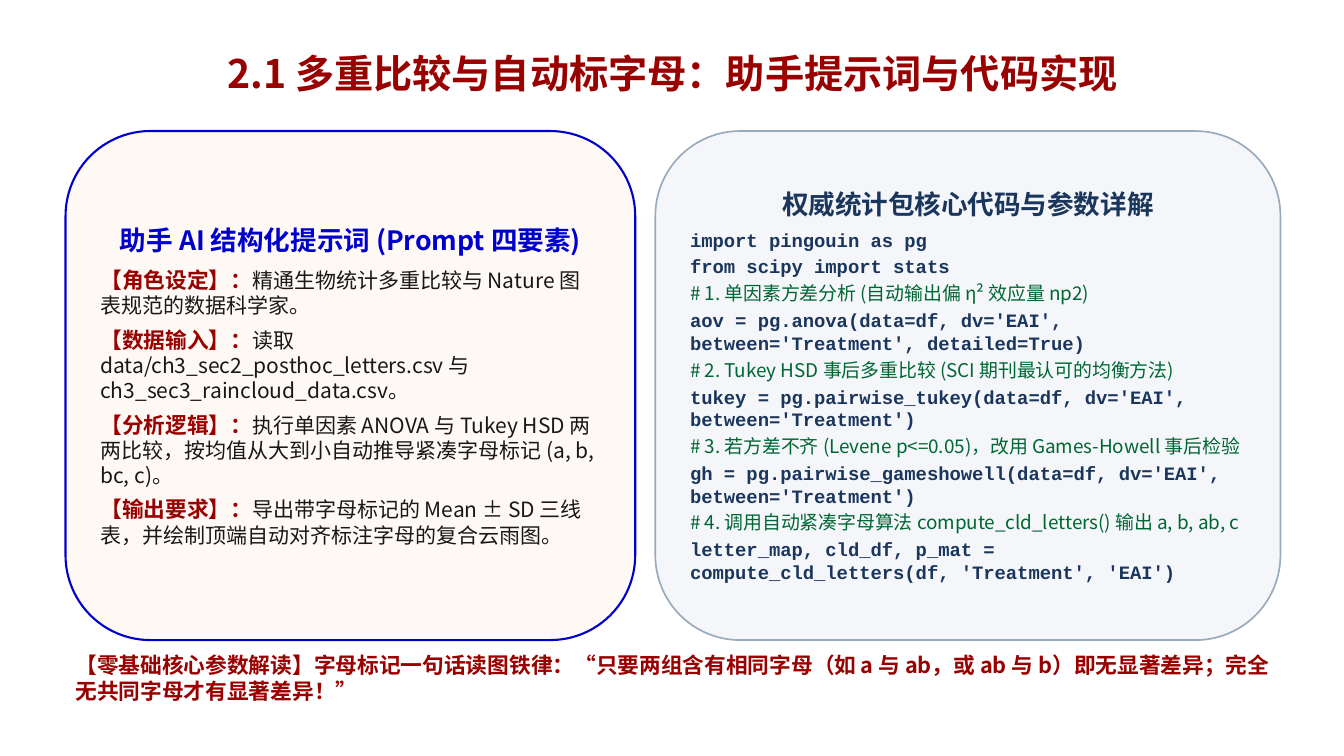
from dataclasses import dataclass

from lxml.etree import SubElement
from pptx import Presentation
from pptx.dml.color import RGBColor
from pptx.enum.shapes import MSO_SHAPE
from pptx.enum.text import MSO_ANCHOR, MSO_AUTO_SIZE, PP_ALIGN
from pptx.oxml.ns import qn
from pptx.shapes.autoshape import Shape
from pptx.slide import Slide
from pptx.text.text import TextFrame, _Paragraph
from pptx.util import Inches, Pt

CELL = 0.05
SANS = "Noto Sans CJK SC"
MONO = "Courier New"
COLORS = {
    "red": "990000",
    "blue": "0000CC",
    "navy": "1B365D",
    "green": "006633",
    "ink": "181818",
    "cream": "FFF9F5",
    "mist": "F4F6F9",
    "steel": "99AABB",
}


@dataclass(frozen=True)
class Box:
    col: float
    row: float
    cols: float
    rows: float

    def place(self) -> list[int]:
        return [Inches(n * CELL) for n in (self.col, self.row, self.cols, self.rows)]


@dataclass(frozen=True)
class Panel:
    box: Box
    fill: str
    edge: str
    width: float
    head: str
    tint: str
    gap: float


@dataclass(frozen=True)
class Prompt:
    label: str
    body: str


TITLE = Box(18.4, 6.6, 230, 16.8)
NOTE = Box(13, 128.4, 241, 13)
LEFT = Panel(Box(13, 26, 113, 101), "cream", "blue", 1.5,
             "助手 AI 结构化提示词 (Prompt 四要素)", "blue", 8)
RIGHT = Panel(Box(130, 26, 124, 101), "mist", "steel", 1.2,
              "权威统计包核心代码与参数详解", "navy", 6)

PROMPTS = [
    Prompt("角色设定", "精通生物统计多重比较与 Nature 图表规范的数据科学家。"),
    Prompt("数据输入", "读取 data/ch3_sec2_posthoc_letters.csv 与 ch3_sec3_raincloud_data.csv。"),
    Prompt("分析逻辑", "执行单因素 ANOVA 与 Tukey HSD 两两比较，按均值从大到小自动推导紧凑字母标记 (a, b, bc, c)。"),
    Prompt("输出要求", "导出带字母标记的 Mean ± SD 三线表，并绘制顶端自动对齐标注字母的复合云雨图。"),
]

CODE = """import pingouin as pg
from scipy import stats
# 1. 单因素方差分析 (自动输出偏 η² 效应量 np2)
aov = pg.anova(data=df, dv='EAI', between='Treatment', detailed=True)
# 2. Tukey HSD 事后多重比较 (SCI 期刊最认可的均衡方法)
tukey = pg.pairwise_tukey(data=df, dv='EAI', between='Treatment')
# 3. 若方差不齐 (Levene p<=0.05)，改用 Games-Howell 事后检验
gh = pg.pairwise_gameshowell(data=df, dv='EAI', between='Treatment')
# 4. 调用自动紧凑字母算法 compute_cld_letters() 输出 a, b, ab, c
letter_map, cld_df, p_mat = compute_cld_letters(df, 'Treatment', 'EAI')"""


def paint(name: str) -> RGBColor:
    return RGBColor.from_string(COLORS[name])


def write(para: _Paragraph, text: str, *, size: float, color: str,
          bold: bool = True, face: str = SANS) -> None:
    run = para.add_run()
    run.text = text
    font = run.font
    font.size, font.bold, font.name = Pt(size), bold, face
    font.color.rgb = paint(color)
    SubElement(run._r.get_or_add_rPr(), qn("a:ea")).set("typeface", face)


def add_line(frame: TextFrame, gap: float) -> _Paragraph:
    para = frame.add_paragraph()
    para.alignment = PP_ALIGN.LEFT
    para.space_after = Pt(gap)
    return para


def add_text(slide: Slide, box: Box) -> TextFrame:
    frame = slide.shapes.add_textbox(*box.place()).text_frame
    frame.word_wrap = True
    return frame


def add_panel(slide: Slide, panel: Panel) -> TextFrame:
    shape: Shape = slide.shapes.add_shape(MSO_SHAPE.ROUNDED_RECTANGLE, *panel.box.place())
    shape.shadow.inherit = False
    shape.fill.solid()
    shape.fill.fore_color.rgb = paint(panel.fill)
    shape.line.color.rgb = paint(panel.edge)
    shape.line.width = Pt(panel.width)
    frame = shape.text_frame
    frame.word_wrap = True
    frame.vertical_anchor = MSO_ANCHOR.MIDDLE
    head = frame.paragraphs[0]
    head.alignment = PP_ALIGN.CENTER
    head.space_after = Pt(panel.gap)
    write(head, panel.head, size=19, color=panel.tint)
    return frame


def main() -> None:
    deck = Presentation()
    deck.slide_width, deck.slide_height = Inches(13.33), Inches(7.5)
    slide = deck.slides.add_slide(deck.slide_layouts[6])

    title = add_text(slide, TITLE)
    title.vertical_anchor = MSO_ANCHOR.MIDDLE
    para = title.paragraphs[0]
    para.alignment = PP_ALIGN.CENTER
    para.line_spacing = 0.9
    write(para, "2.1 多重比较与自动标字母：助手提示词与代码实现", size=28, color="red")

    frame = add_panel(slide, LEFT)
    for prompt in PROMPTS:
        para = add_line(frame, 6)
        write(para, f"【{prompt.label}】：", size=15.5, color="red")
        write(para, prompt.body, size=15, color="ink", bold=False)

    frame = add_panel(slide, RIGHT)
    for line in CODE.splitlines():
        para = add_line(frame, 3)
        if line.startswith("#"):
            write(para, line, size=13.5, color="green", bold=False)
        else:
            write(para, line, size=13.5, color="navy", face=MONO)

    note = add_text(slide, NOTE)
    note.auto_size = MSO_AUTO_SIZE.SHAPE_TO_FIT_TEXT
    write(note.paragraphs[0],
          "【零基础核心参数解读】字母标记一句话读图铁律："
          "“只要两组含有相同字母（如 a 与 ab，或 ab 与 b）即无显著差异；"
          "完全无共同字母才有显著差异！”",
          size=15.5, color="red")

    deck.save("out.pptx")


if __name__ == "__main__":
    main()
